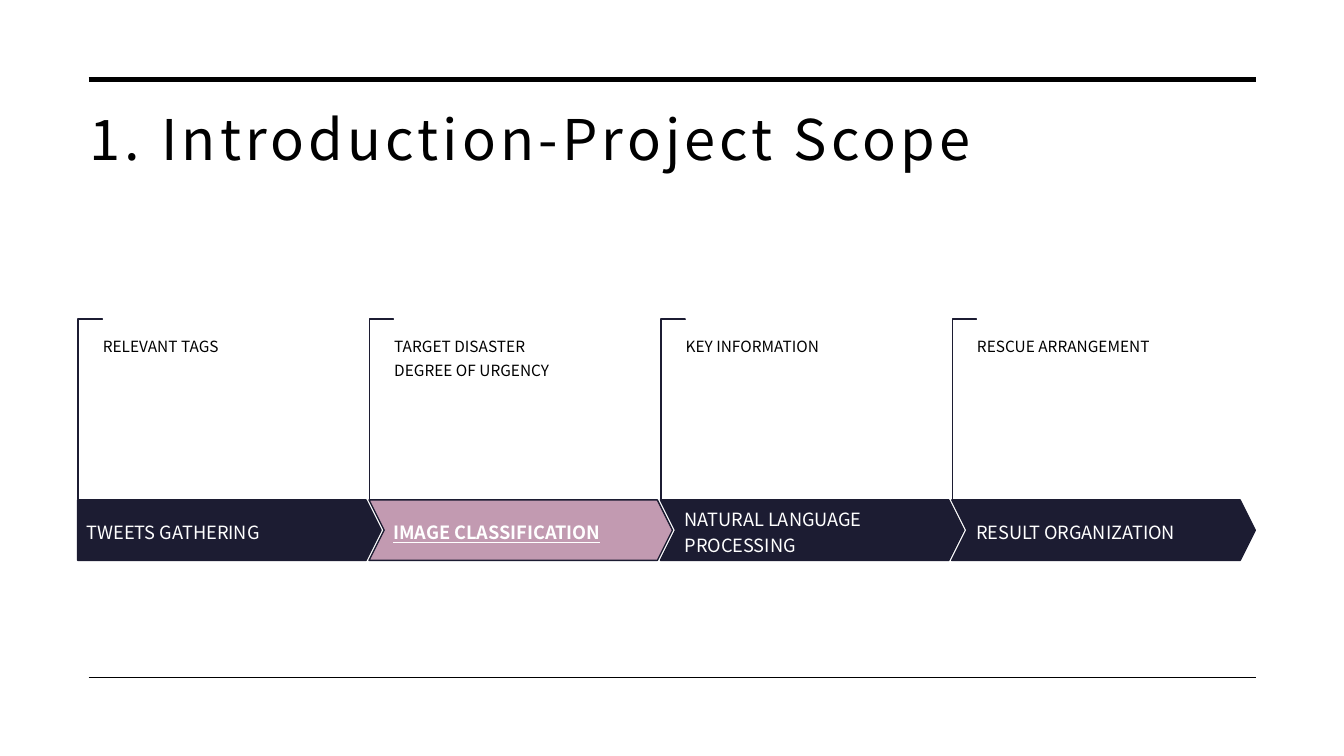
from lxml.etree import SubElement
from pptx import Presentation
from pptx.dml.color import RGBColor
from pptx.enum.shapes import MSO_CONNECTOR, MSO_SHAPE
from pptx.enum.text import MSO_ANCHOR, MSO_AUTO_SIZE, PP_ALIGN
from pptx.oxml.ns import qn
from pptx.util import Inches, Pt

TITLE = "1. Introduction-Project Scope"
STEPS = [
    ("TWEETS GATHERING", ["RELEVANT TAGS"]),
    ("IMAGE CLASSIFICATION", ["TARGET DISASTER", "DEGREE OF URGENCY"]),
    ("NATURAL LANGUAGE PROCESSING", ["KEY INFORMATION"]),
    ("RESULT ORGANIZATION", ["RESCUE ARRANGEMENT"]),
]
CURRENT_STEP = 1
RULES = [(0.79, 3.5), (6.72, 1)]
COLORS = {"black": "000000", "white": "FFFFFF", "navy": "1C1C32",
          "pink": "C29AB1", "cream": "F8F4F1"}
FONT = "Noto Sans CJK SC"
LEFT, PITCH = 0.77, 2.89
ARROW_TOP, ARROW_WIDTH, ARROW_HEIGHT = 4.96, 3.01, 0.6


def color(name):
    return RGBColor.from_string(COLORS[name])


def box(left, top, width, height):
    return [Inches(value) for value in (left, top, width, height)]


def set_frame(frame, insets, anchor):
    frame.word_wrap = True
    frame.auto_size = MSO_AUTO_SIZE.NONE
    frame.vertical_anchor = anchor
    (frame.margin_left, frame.margin_top,
     frame.margin_right, frame.margin_bottom) = box(*insets)


def add_run(paragraph, text, size, color_name):
    paragraph.alignment = PP_ALIGN.LEFT
    run = paragraph.add_run()
    run.text = text
    run.font.name = FONT
    run.font.size = Pt(size)
    run.font.color.rgb = color(color_name)
    properties = run._r.get_or_add_rPr()
    SubElement(properties, qn("a:ea")).set("typeface", FONT)
    return run


def add_text(shapes, place, lines, size, color_name, insets, anchor):
    frame = shapes.add_textbox(*box(*place)).text_frame
    set_frame(frame, insets, anchor)
    runs = []
    for index, line in enumerate(lines):
        paragraph = frame.paragraphs[0] if index == 0 else frame.add_paragraph()
        paragraph.line_spacing = 1.2
        paragraph.space_after = Pt(1)
        runs.append(add_run(paragraph, line, size, color_name))
    return runs


def add_outlined(shapes, kind, place, fill, adjustments):
    shape = shapes.add_shape(kind, *box(*place))
    shape.shadow.inherit = False
    shape.fill.solid()
    shape.fill.fore_color.rgb = color(fill)
    shape.line.color.rgb = color("navy")
    shape.line.width = Pt(1)
    for index, value in enumerate(adjustments):
        shape.adjustments[index] = value
    return shape


def add_rule(slide, top, weight):
    rule = slide.shapes.add_connector(
        MSO_CONNECTOR.STRAIGHT, *box(0.88, top, 12.46, top))
    rule.line.color.rgb = color("black")
    rule.line.width = Pt(weight)
    SubElement(rule._element.spPr, qn("a:effectLst"))


def add_step(shapes, index, name, details):
    left = LEFT + index * PITCH
    current = index == CURRENT_STEP
    bracket = add_outlined(shapes, MSO_SHAPE.CORNER,
                           (left - 0.77, 3.94, 1.79, 0.24), "cream", (0.01, 0.01))
    bracket.rotation = 90
    add_outlined(shapes, MSO_SHAPE.CHEVRON if index else MSO_SHAPE.PENTAGON,
                 (left, ARROW_TOP, ARROW_WIDTH, ARROW_HEIGHT),
                 "pink" if current else "navy", (0.25,))
    label_left, label_width = (left + 0.15, 2.71) if index else (left, 2.93)
    label, = add_text(shapes, (label_left, ARROW_TOP, label_width, ARROW_HEIGHT),
                      [name], 13, "white", (0.09, 0.18, 0.09, 0.18),
                      MSO_ANCHOR.MIDDLE)
    if current:
        label.font.bold = True
        label.font.underline = True
    add_text(shapes, (left + 0.25, 3.31, 2.44, 1.08), details, 11, "black",
             (0, 0, 0, 0), MSO_ANCHOR.TOP)


def main():
    presentation = Presentation()
    presentation.slide_width = Inches(13.33)
    presentation.slide_height = Inches(7.5)
    slide = presentation.slides.add_slide(presentation.slide_layouts[5])

    title = slide.shapes.title
    title.left, title.top, title.width, title.height = box(LEFT, 0.99, 11.69, 1.26)
    set_frame(title.text_frame, (0.12, 0.12, 0.12, 0.1), MSO_ANCHOR.TOP)
    heading = title.text_frame.paragraphs[0]
    heading.line_spacing = 0.9
    run = add_run(heading, TITLE, 40, "black")
    run._r.get_or_add_rPr().set("spc", "300")

    for top, weight in RULES:
        add_rule(slide, top, weight)

    process = slide.shapes.add_group_shape()
    for index, (name, details) in enumerate(STEPS):
        add_step(process.shapes, index, name, details)

    presentation.save("out.pptx")


if __name__ == "__main__":
    main()
